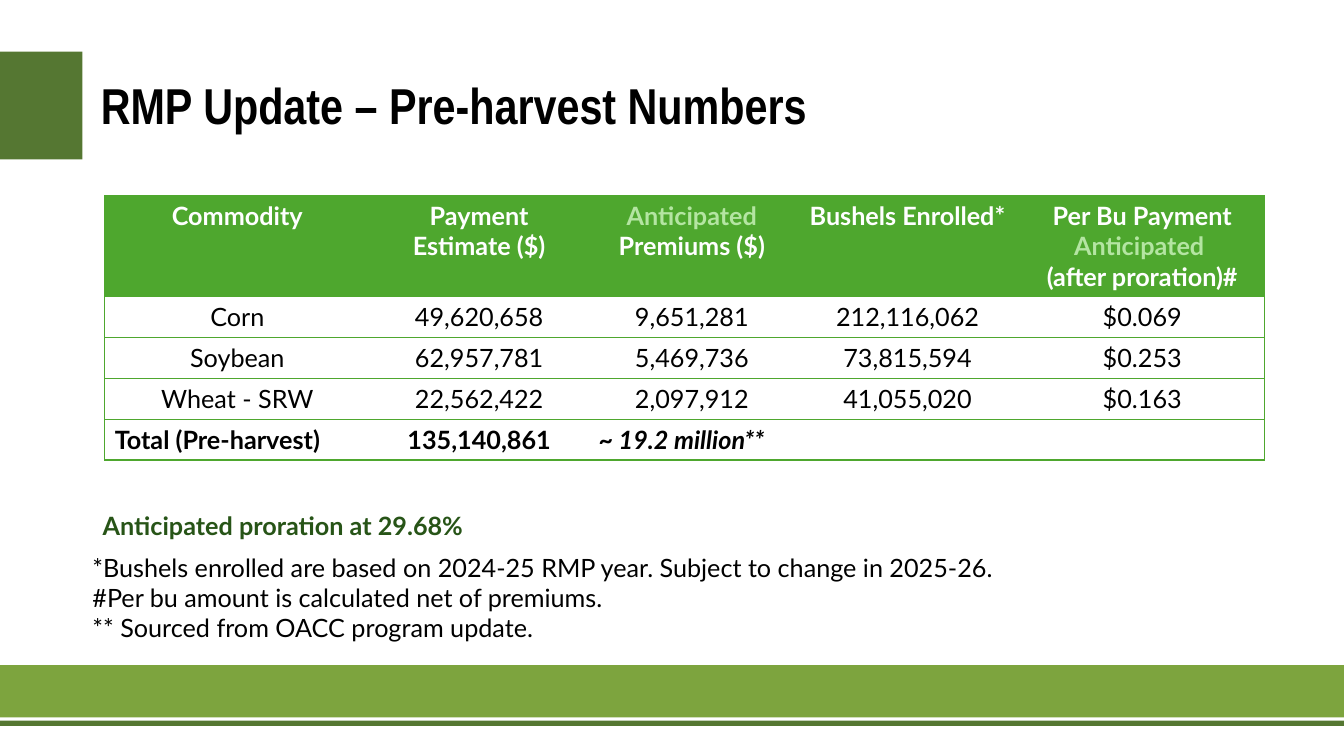
from lxml.etree import SubElement
from pptx import Presentation
from pptx.dml.color import RGBColor
from pptx.enum.shapes import MSO_SHAPE
from pptx.enum.text import PP_ALIGN
from pptx.oxml.ns import qn
from pptx.util import Cm, Pt

COLORS = {
    "dark": "557732", "band": "7DA43E", "table": "4EA72E", "pale": "B4E5A2",
    "accent": "275417", "black": "000000", "white": "FFFFFF",
}
COLUMN_WIDTHS = [6.68, 5.51, 5.21, 5.66, 6.17]
HEADER_HEIGHT, ROW_HEIGHT = 2.54, 1.03
# Each heading is a list of paragraphs; each paragraph a list of (text, colour) runs.
HEADINGS = [
    [[("Commodity", "white")]],
    [[("Payment Estimate ($)", "white")]],
    [[("Anticipated", "pale"), (" Premiums ($)", "white")]],
    [[("Bushels Enrolled*", "white")]],
    [[("Per Bu Payment ", "white"), ("Anticipated ", "pale")],
     [("(after proration)#", "white")]],
]
COMMODITIES = [
    ["Corn", "49,620,658", "9,651,281", "212,116,062", "$0.069"],
    ["Soybean", "62,957,781", "5,469,736", "73,815,594", "$0.253"],
    ["Wheat - SRW", "22,562,422", "2,097,912", "41,055,020", "$0.163"],
]
TOTALS = ["Total (Pre-harvest)", "135,140,861", "~ 19.2 million**", "", ""]
NOTES = [
    "*Bushels enrolled are based on 2024-25 RMP year. Subject to change in 2025-26.",
    "#Per bu amount is calculated net of premiums.",
    "** Sourced from OACC program update.",
]


def rgb(name):
    return RGBColor.from_string(COLORS[name])


def add_run(p, text, size=18, font="Lato", color="black", bold=False, italic=False):
    r = p.add_run()
    r.text = text
    r.font.size, r.font.name = Pt(size), font
    r.font.bold, r.font.italic = bold, italic
    r.font.color.rgb = rgb(color)


def write(tf, paragraphs, align=PP_ALIGN.LEFT, **fmt):
    """Fill a text frame; a paragraph is a string or a list of (text, colour) runs."""
    for i, content in enumerate(paragraphs):
        p = tf.paragraphs[0] if i == 0 else tf.add_paragraph()
        p.alignment = align
        if isinstance(content, str):
            add_run(p, content, **fmt)
        else:
            for text, color in content:
                add_run(p, text, color=color, **fmt)


def set_borders(cell, sides):
    """Draw the given sides in green and hide the others."""
    tcPr = cell._tc.get_or_add_tcPr()
    for i, side in enumerate(("L", "R", "T", "B")):
        ln = SubElement(tcPr, qn(f"a:ln{side}"), w=str(Pt(1)))
        if side in sides:
            fill = SubElement(ln, qn("a:solidFill"))
            SubElement(fill, qn("a:srgbClr"), val=COLORS["table"])
        else:
            SubElement(ln, qn("a:noFill"))


class SlideBuilder:
    def __init__(self, prs):
        self.s = prs.slides.add_slide(prs.slide_layouts[6])

    def bar(self, left, top, width, height, color):
        sp = self.s.shapes.add_shape(
            MSO_SHAPE.RECTANGLE, Cm(left), Cm(top), Cm(width), Cm(height))
        sp.shadow.inherit = False
        sp.fill.solid()
        sp.fill.fore_color.rgb = rgb(color)
        sp.line.fill.background()

    def text(self, left, top, width, height, paragraphs, **fmt):
        tf = self.s.shapes.add_textbox(
            Cm(left), Cm(top), Cm(width), Cm(height)).text_frame
        tf.word_wrap = True
        write(tf, paragraphs, **fmt)

    def table(self, left, top):
        height = HEADER_HEIGHT + ROW_HEIGHT * (len(COMMODITIES) + 1)
        table = self.s.shapes.add_table(
            len(COMMODITIES) + 2, len(COLUMN_WIDTHS), Cm(left), Cm(top),
            Cm(sum(COLUMN_WIDTHS)), Cm(height)).table
        table.first_row = table.horz_banding = False
        for column, width in zip(table.columns, COLUMN_WIDTHS):
            column.width = Cm(width)
        for i, row in enumerate(table.rows):
            row.height = Cm(ROW_HEIGHT if i else HEADER_HEIGHT)
            for j, cell in enumerate(row.cells):
                edge = {0: "L", len(COLUMN_WIDTHS) - 1: "R"}.get(j, "")
                set_borders(cell, "TB" + edge)
                cell.fill.solid()
                cell.fill.fore_color.rgb = rgb("white" if i else "table")

        for j, heading in enumerate(HEADINGS):
            write(table.cell(0, j).text_frame, heading, PP_ALIGN.CENTER, bold=True)
        for i, values in enumerate(COMMODITIES, 1):
            for j, value in enumerate(values):
                write(table.cell(i, j).text_frame, [value], PP_ALIGN.CENTER)
        for j, value in enumerate(TOTALS):
            align = PP_ALIGN.CENTER if j == 1 else PP_ALIGN.LEFT
            write(table.cell(len(COMMODITIES) + 1, j).text_frame, [value], align,
                  bold=True, italic=j == 2)


def main():
    prs = Presentation()
    prs.slide_width, prs.slide_height = Cm(33.87), Cm(19.05)
    slide = SlideBuilder(prs)
    slide.bar(0, 18.16, 33.87, 0.13, "dark")
    slide.bar(0, 16.76, 33.87, 1.32, "band")
    slide.text(2.29, 1.75, 29.08, 1.8, ["RMP Update – Pre-harvest Numbers"],
               size=36, font="Arial Narrow", bold=True)
    slide.bar(0, 1.3, 2.08, 2.72, "dark")
    slide.table(2.64, 4.93)
    slide.text(2.08, 13.79, 25.91, 2.57, NOTES)
    slide.text(2.34, 12.73, 10.21, 1.02, ["Anticipated proration at 29.68%"],
               color="accent", bold=True)
    prs.save("out.pptx")


if __name__ == "__main__":
    main()
